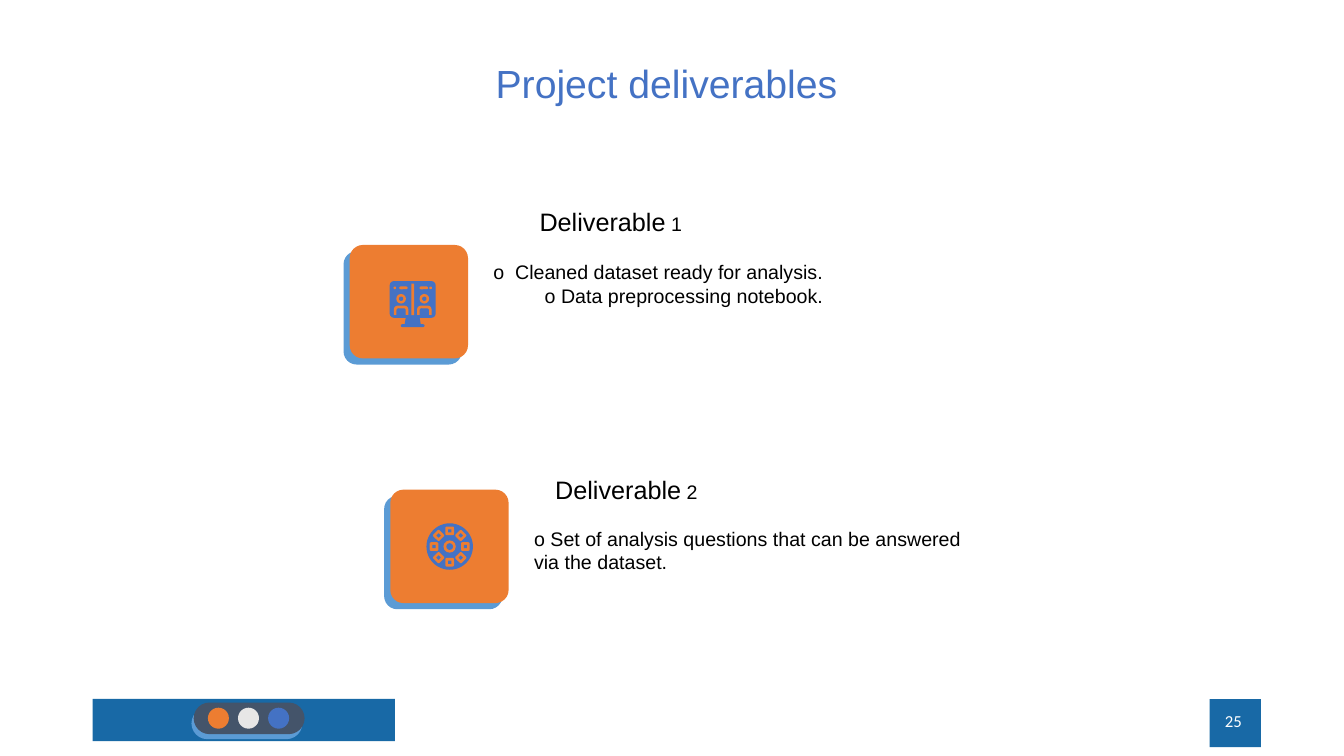
"""Build the slide that lists the project deliverables."""
from dataclasses import dataclass
from math import cos, pi, sin

from pptx import Presentation
from pptx.dml.color import RGBColor
from pptx.enum.shapes import MSO_SHAPE as Form
from pptx.enum.text import MSO_ANCHOR, MSO_AUTO_SIZE, PP_ALIGN
from pptx.shapes.base import BaseShape
from pptx.slide import Slide
from pptx.util import Pt


@dataclass(frozen=True)
class Theme:
    """Hold the colours, fonts and type sizes."""
    bar: str = "1869A6"
    sky: str = "5B9BD5"
    flame: str = "ED7D31"
    blue: str = "4472C4"
    slate: str = "44546A"
    pale: str = "E7E6E6"
    ink: str = "000000"
    white: str = "FFFFFF"
    face: str = "Arial"
    plain: str = "Calibri"
    title: float = 28
    head: float = 18
    body: float = 14
    page: float = 12
    inset: float = 7.2


@dataclass(frozen=True)
class Mark:
    """Describe one filled shape."""
    form: Form
    left: float
    top: float
    width: float
    height: float
    fill: str
    round: float | None = None
    turn: float = 0


@dataclass(frozen=True)
class Note:
    """Describe one text block as lines of sized runs."""
    left: float
    top: float
    width: float
    height: float
    lines: list[list[tuple[str, float]]]
    align: PP_ALIGN = PP_ALIGN.LEFT
    tint: str = Theme.ink
    face: str = Theme.face


LOOK = Theme()


def draw(slide: Slide, marks: list[Mark]) -> None:
    """Draw the marks as one group."""
    group = slide.shapes.add_group_shape()
    for mark in marks:
        shape = group.shapes.add_shape(
            mark.form, Pt(mark.left), Pt(mark.top), Pt(mark.width), Pt(mark.height))
        shape.shadow.inherit = False
        shape.fill.solid()
        shape.fill.fore_color.rgb = RGBColor.from_string(mark.fill)
        shape.line.fill.background()
        shape.rotation = mark.turn
        if mark.round is not None:
            shape.adjustments[0] = mark.round


def write(box: BaseShape, note: Note) -> None:
    """Place a text shape, then fill and format it."""
    box.left, box.top = Pt(note.left), Pt(note.top)
    box.width, box.height = Pt(note.width), Pt(note.height)
    frame = box.text_frame
    frame.word_wrap = True
    frame.auto_size = MSO_AUTO_SIZE.NONE
    frame.vertical_anchor = MSO_ANCHOR.MIDDLE
    frame.margin_left = frame.margin_right = Pt(LOOK.inset)
    frame.margin_top = frame.margin_bottom = Pt(LOOK.inset)
    frame.text = "\n".join("" for _ in note.lines)
    for para, line in zip(frame.paragraphs, note.lines):
        para.alignment = note.align
        for text, size in line:
            run = para.add_run()
            run.text = text
            run.font.size = Pt(size)
            run.font.name = note.face
            run.font.color.rgb = RGBColor.from_string(note.tint)


def disc(x: float, y: float, size: float, fill: str) -> Mark:
    """Return a circle about a centre."""
    return Mark(Form.OVAL, x - size / 2, y - size / 2, size, size, fill)


def card(left: float, top: float) -> list[Mark]:
    """Return a rounded tile with its offset backing."""
    return [Mark(Form.ROUNDED_RECTANGLE, left - gap, top + gap, 84.5, 81, fill, 0.116)
            for gap, fill in ((4.4, LOOK.sky), (0, LOOK.flame))]


def screen(x: float, y: float) -> list[Mark]:
    """Return the icon of a monitor with two people."""
    pill = Form.ROUNDED_RECTANGLE
    marks = [
        Mark(pill, x, y, 32.8, 26.2, LOOK.blue, 0.11),
        Mark(Form.TRAPEZOID, x + 10.6, y + 26, 11.6, 5.2, LOOK.blue, 0.16),
        Mark(pill, x + 7.9, y + 30.8, 17, 2, LOOK.blue, 0.5),
        Mark(Form.RECTANGLE, x + 15.4, y + 1.9, 2, 22.4, LOOK.flame),
    ]
    for side, edge in ((8.1, 3.6), (24.7, 29.2)):
        mid = x + side
        marks += [
            disc(x + edge, y + 4.8, 1.9, LOOK.flame),
            Mark(pill, mid - 1.3 + (8.1 - side) / 8, y + 3.8, 6, 2, LOOK.flame, 0.5),
            disc(mid, y + 12.6, 6.9, LOOK.flame),
            disc(mid, y + 12.6, 3.1, LOOK.blue),
            Mark(Form.ROUND_2_SAME_RECTANGLE, mid - 5.2, y + 17.5, 10.4, 6.7, LOOK.flame, 0.42),
            Mark(Form.ROUND_2_SAME_RECTANGLE, mid - 3.3, y + 19.4, 6.6, 4.9, LOOK.blue, 0.3),
        ]
    return marks


def wheel(x: float, y: float) -> list[Mark]:
    """Return the icon of a disc with eight tiles on a ring."""
    marks = [disc(x, y, size, fill) for size, fill in
             ((33.2, LOOK.blue), (8.8, LOOK.flame), (4.8, LOOK.blue))]
    for step in range(8):
        angle = step * pi / 4
        mid, base = x + 11.2 * cos(angle), y + 11.2 * sin(angle)
        for size, fill, bend in ((6.2, LOOK.flame, 0.17), (2.3, LOOK.blue, 0)):
            marks.append(Mark(Form.ROUNDED_RECTANGLE, mid - size / 2, base - size / 2,
                              size, size, fill, bend, step % 2 * 45))
    return marks


def lamp() -> list[Mark]:
    """Return the footer pill with its three dots."""
    pills = [Mark(Form.ROUNDED_RECTANGLE, left, top, 79.2, 22.6, fill, 0.5)
             for left, top, fill in ((136.8, 505.4, LOOK.sky), (138.4, 501.8, LOOK.slate))]
    dots = [disc(156 + 21.5 * step, 513, 15, fill)
            for step, fill in enumerate((LOOK.flame, LOOK.pale, LOOK.blue))]
    return pills + dots


def main() -> None:
    """Compose and save the slide."""
    deck = Presentation()
    deck.slide_width, deck.slide_height = Pt(960), Pt(540)
    slide = deck.slides.add_slide(deck.slide_layouts[5])
    write(slide.shapes.title, Note(
        176.4, 40.3, 607, 37.4, [[("Project deliverables ", LOOK.title)]],
        PP_ALIGN.CENTER, LOOK.blue))
    bars = [Mark(Form.RECTANGLE, 66.2, 499.2, 216, 30.2, LOOK.bar),
            Mark(Form.RECTANGLE, 864, 499.4, 36.7, 34.2, LOOK.bar)]
    for marks in (bars, lamp(), card(249.8, 175), card(278.8, 349.8),
                  screen(278.4, 200.8), wheel(321.2, 390.4)):
        draw(slide, marks)
    notes = [
        Note(219.6, 136.1, 278.6, 43.9,
             [[("Deliverable", LOOK.head), (" 1 ", LOOK.body)]], PP_ALIGN.RIGHT),
        Note(389.5, 327.6, 278.6, 43.9,
             [[("Deliverable", LOOK.head), (" 2", LOOK.body)]]),
        Note(374.4, 342.7, 327.6, 100.8,
             [[("o Set of analysis questions that can be answered via the dataset.",
                LOOK.body)]]),
        Note(308.9, 167.8, 290.2, 69.8,
             [[("o  Cleaned dataset ready for analysis. ", LOOK.body)],
              [("o Data preprocessing notebook. ", LOOK.body)]], PP_ALIGN.RIGHT),
        Note(678.2, 500.4, 216, 28.8, [[("25", LOOK.page)]],
             PP_ALIGN.RIGHT, LOOK.white, LOOK.plain),
    ]
    for note in notes:
        write(slide.shapes.add_textbox(0, 0, 0, 0), note)
    deck.save("out.pptx")


if __name__ == "__main__":
    main()
